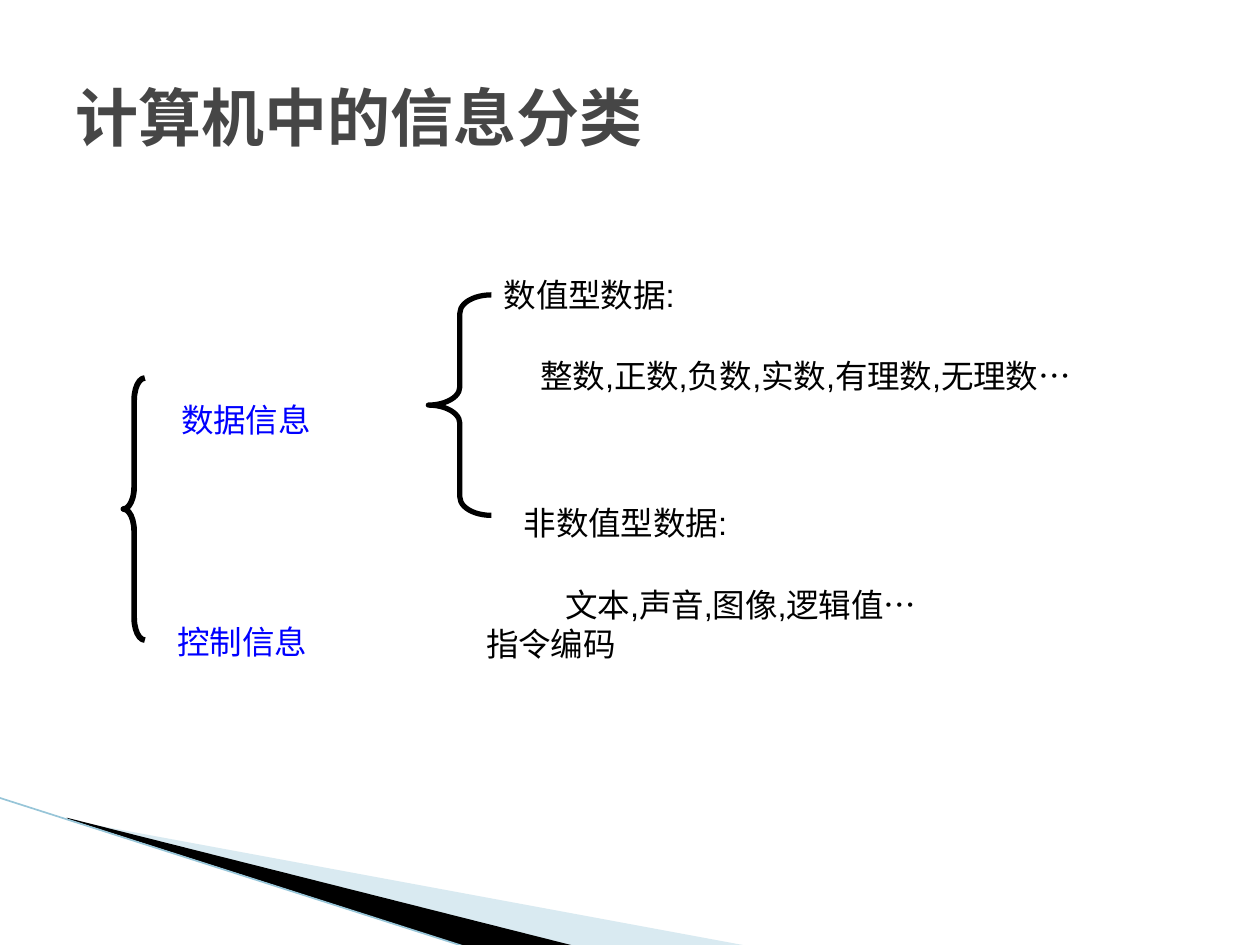
from lxml import etree
from pptx import Presentation
from pptx.dml.color import RGBColor
from pptx.enum.shapes import MSO_CONNECTOR, MSO_SHAPE
from pptx.enum.text import MSO_ANCHOR
from pptx.oxml.ns import qn
from pptx.util import Inches, Pt

LEFT_BRACE = MSO_SHAPE.LEFT_BRACE
STRAIGHT = MSO_CONNECTOR.STRAIGHT
TOP, MIDDLE = MSO_ANCHOR.TOP, MSO_ANCHOR.MIDDLE

COLORS = {
    "title": "464646",
    "body": "000000",
    "category": "0000FF",
    "brace": "000000",
    "pale_wedge": "A0CBDC",
    "dark_wedge": "000000",
    "edge": "97C5D8",
}
COLUMNS, ROWS = 100, 75
WIDTH, HEIGHT = Inches(10), Inches(7.5)


def col(count):
    return round(WIDTH * count / COLUMNS)


def row(count):
    return round(HEIGHT * count / ROWS)


def color(name):
    return RGBColor.from_string(COLORS[name])


def place(left, top, width, height):
    return col(left), row(top), col(width), row(height)


def add_wedge(slide, corners, fill, opacity=100):
    points = [(col(x), row(y)) for x, y in corners]
    builder = slide.shapes.build_freeform(*points[0], scale=1.0)
    builder.add_line_segments(points[1:], close=True)
    wedge = builder.convert_to_shape()
    wedge.shadow.inherit = False
    wedge.fill.solid()
    wedge.fill.fore_color.rgb = color(fill)
    wedge.line.fill.background()
    if opacity < 100:
        tint = wedge.fill._xPr.find(qn("a:solidFill"))[0]
        etree.SubElement(tint, qn("a:alpha")).set("val", str(opacity * 1000))


def add_edge(slide, start, end):
    edge = slide.shapes.add_connector(
        STRAIGHT, col(start[0]), row(start[1]), col(end[0]), row(end[1]))
    edge.line.color.rgb = color("edge")
    edge.line.width = Pt(0.95)
    etree.SubElement(edge._element.spPr, qn("a:effectLst"))


def add_brace(slide, box, curl, weight):
    brace = slide.shapes.add_shape(LEFT_BRACE, *place(*box))
    brace.shadow.inherit = False
    brace.adjustments[0] = curl
    brace.adjustments[1] = 0.5
    brace.fill.background()
    brace.line.color.rgb = color("brace")
    brace.line.width = Pt(weight)


def add_frame(slide, box, anchor):
    frame = slide.shapes.add_textbox(*place(*box)).text_frame
    frame.word_wrap = True
    frame.vertical_anchor = anchor
    return frame


def add_run(paragraph, words, size, font, ink):
    run = paragraph.add_run()
    run.text = words
    run.font.size = Pt(size)
    run.font.name = font
    run.font.color.rgb = color(ink)
    return run


def add_title(slide, box, words):
    frame = add_frame(slide, box, MIDDLE)
    run = add_run(frame.paragraphs[0], words, 36, "Courier New", "title")
    run.font.bold = True


def add_label(slide, box, lines, ink="body", spacing=0.7, indent=0):
    frame = add_frame(slide, box, TOP)
    for index, words in enumerate(lines):
        paragraph = frame.add_paragraph() if index else frame.paragraphs[0]
        paragraph.line_spacing = spacing
        paragraph.space_before = Pt(16)
        if index:
            paragraph._p.get_or_add_pPr().set("indent", str(col(indent)))
        run = add_run(paragraph, words, 32, "Arial", ink)
        run.font._element.set("baseline", "-25000")


def add_decoration(slide):
    add_wedge(slide, [(5.5, 65.1), (59.5, 75.1), (45.6, 75.1), (5.5, 65)],
              "pale_wedge", 40)
    add_wedge(slide, [(5.3, 64.9), (45.7, 75.1), (37.2, 75.2), (5.4, 65)],
              "dark_wedge")
    add_edge(slide, (-0.1, 63.3), (37.1, 75.2))


def main():
    deck = Presentation()
    deck.slide_width, deck.slide_height = WIDTH, HEIGHT
    slide = deck.slides.add_slide(deck.slide_layouts[6])

    add_decoration(slide)
    add_title(slide, (5, 3, 90, 12.5), "计算机中的信息分类")
    add_label(slide, (39, 19.4, 57.5, 14.7),
              ["数值型数据:", "整数,正数,负数,实数,有理数,无理数…"], indent=2.9)
    add_label(slide, (13.4, 28.3, 20, 4.6), ["数据信息"], "category", 1.0)
    add_label(slide, (13.1, 45.9, 26.7, 4.6), ["控制信息"], "category", 1.0)
    add_brace(slide, (34, 23.4, 5, 17.5), 0.29, 3)
    add_brace(slide, (9.8, 30, 1.7, 20.8), 1.04, 3.25)
    add_label(slide, (40.6, 37.5, 55.1, 12.1),
              ["非数值型数据:", "文本,声音,图像,逻辑值…"], indent=3.3)
    add_label(slide, (37.6, 47.1, 37.5, 3.5), ["指令编码"])

    deck.save("out.pptx")


if __name__ == "__main__":
    main()
